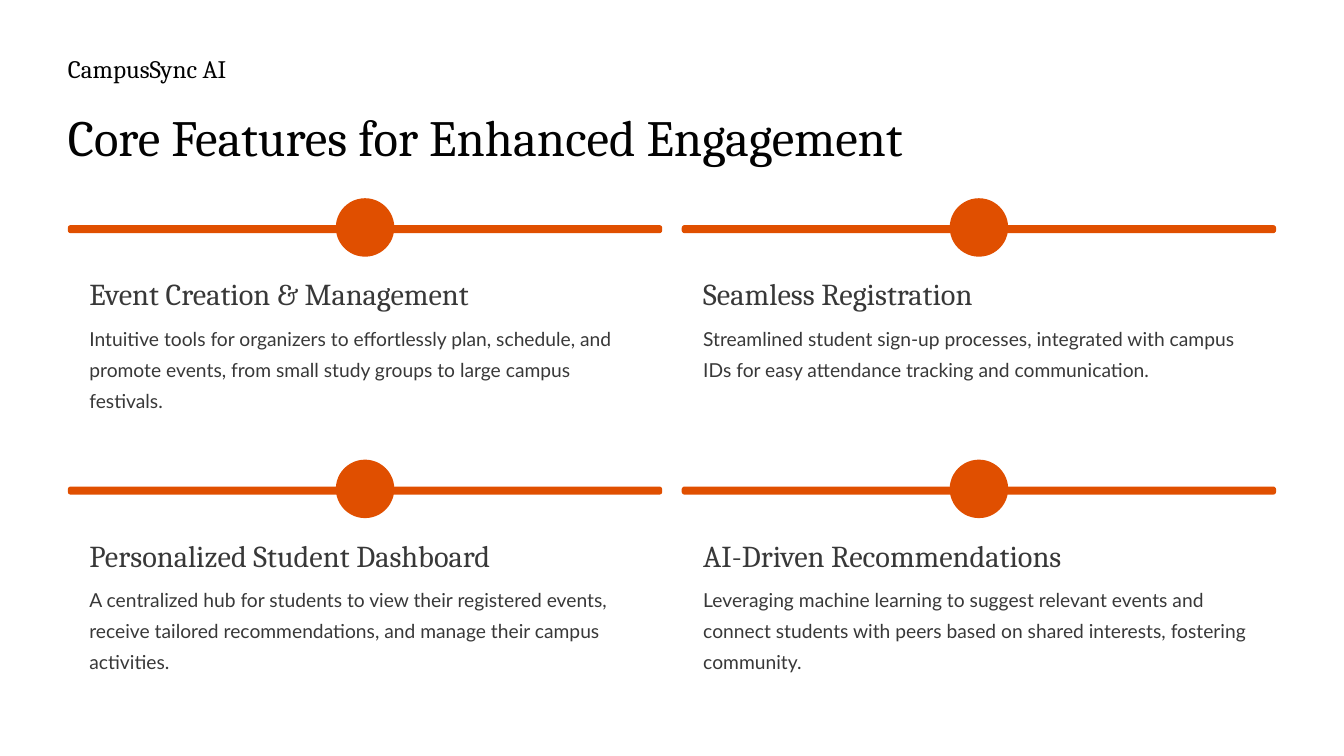
from dataclasses import dataclass

from pptx import Presentation
from pptx.dml.color import RGBColor
from pptx.enum.shapes import MSO_SHAPE
from pptx.enum.text import MSO_AUTO_SIZE
from pptx.util import Inches, Pt

ROUNDED = MSO_SHAPE.ROUNDED_RECTANGLE
OVAL = MSO_SHAPE.OVAL
GROW = MSO_AUTO_SIZE.SHAPE_TO_FIT_TEXT

# The slide is a grid of one-inch columns and rows
COLUMNS, ROWS = 20, 11.25
MARGIN, GAP = 1.01, 0.29
CARD_TOP, CARD_HEIGHT, CARDS_PER_ROW = 2.95, 3.6, 2


@dataclass(frozen=True)
class Style:
    font: str
    size: float
    leading: float
    color: str


class Theme:
    background = "FFFFFF"
    accent = "E04F00"
    brand = Style("Cambria", 26.9, 33.7, "020202")
    title = Style("Cambria", 54.4, 68.1, "020202")
    heading = Style("Cambria", 32.5, 40.6, "383838")
    body = Style("Lato", 20.6, 33.1, "383838")


@dataclass(frozen=True)
class Box:
    left: float
    top: float
    width: float
    height: float

    def inner(self, left, top, width, height):
        """Box placed relative to this one's top left corner."""
        return Box(self.left + left, self.top + top, width, height)

    def lengths(self):
        return [Inches(n) for n in (self.left, self.top, self.width, self.height)]


FEATURES = [
    ("Event Creation & Management",
     "Intuitive tools for organizers to effortlessly plan, schedule, and "
     "promote events, from small study groups to large campus festivals."),
    ("Seamless Registration",
     "Streamlined student sign-up processes, integrated with campus IDs "
     "for easy attendance tracking and communication."),
    ("Personalized Student Dashboard",
     "A centralized hub for students to view their registered events, "
     "receive tailored recommendations, and manage their campus activities."),
    ("AI-Driven Recommendations",
     "Leveraging machine learning to suggest relevant events and connect "
     "students with peers based on shared interests, fostering community."),
]


def add_text(slide, box, text, *, style):
    frame = slide.shapes.add_textbox(*box.lengths()).text_frame
    frame.margin_left = frame.margin_right = 0
    frame.margin_top = frame.margin_bottom = 0
    frame.word_wrap = True
    frame.auto_size = GROW
    paragraph = frame.paragraphs[0]
    paragraph.line_spacing = Pt(style.leading)
    run = paragraph.add_run()
    run.text = text
    run.font.name = style.font
    run.font.size = Pt(style.size)
    run.font.color.rgb = RGBColor.from_string(style.color)


def add_accent(slide, box, kind):
    shape = slide.shapes.add_shape(kind, *box.lengths())
    shape.shadow.inherit = False
    shape.fill.solid()
    shape.fill.fore_color.rgb = RGBColor.from_string(Theme.accent)
    shape.line.fill.background()
    return shape


def add_header(slide, box):
    add_text(slide, box.inner(0, 0, box.width, 0.49), "CampusSync AI",
             style=Theme.brand)
    add_text(slide, box.inner(0, 0.76, box.width, 0.98),
             "Core Features for Enhanced Engagement", style=Theme.title)


def add_feature(slide, box, heading, body):
    # Bar with a dot at its middle
    dot, bar, inset = 0.87, 0.12, 0.32
    rail = add_accent(slide, box.inner(0, 0.4, box.width, bar), ROUNDED)
    rail.adjustments[0] = 0.35
    add_accent(slide, box.inner((box.width - dot) / 2, 0, dot, dot), OVAL)
    # Heading and description
    text_width = box.width - 2 * inset
    add_text(slide, box.inner(inset, 1.13, text_width, 0.59), heading,
             style=Theme.heading)
    add_text(slide, box.inner(inset, 1.8, text_width, 1.48), body,
             style=Theme.body)


def add_features(slide, box):
    width = (box.width - GAP * (CARDS_PER_ROW - 1)) / CARDS_PER_ROW
    for index, (heading, body) in enumerate(FEATURES):
        row, column = divmod(index, CARDS_PER_ROW)
        card = box.inner(column * (width + GAP), row * (CARD_HEIGHT + GAP),
                         width, CARD_HEIGHT)
        add_feature(slide, card, heading, body)


def main():
    presentation = Presentation()
    presentation.slide_width = Inches(COLUMNS)
    presentation.slide_height = Inches(ROWS)
    slide = presentation.slides.add_slide(presentation.slide_layouts[6])
    background = slide.background.fill
    background.solid()
    background.fore_color.rgb = RGBColor.from_string(Theme.background)

    content_width = COLUMNS - 2 * MARGIN
    add_header(slide, Box(MARGIN, 0.78, content_width, 1.74))
    add_features(slide, Box(MARGIN, CARD_TOP, content_width, 2 * CARD_HEIGHT + GAP))
    presentation.save("out.pptx")


if __name__ == "__main__":
    main()
